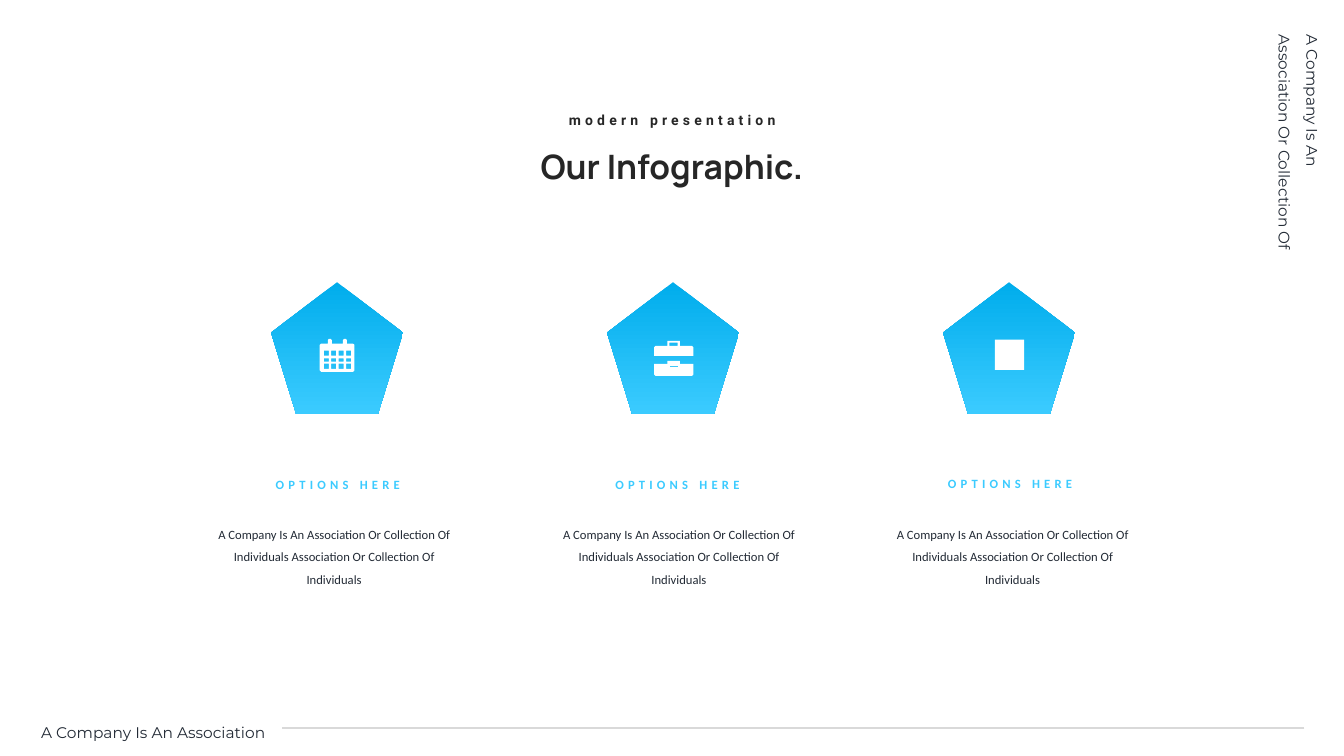
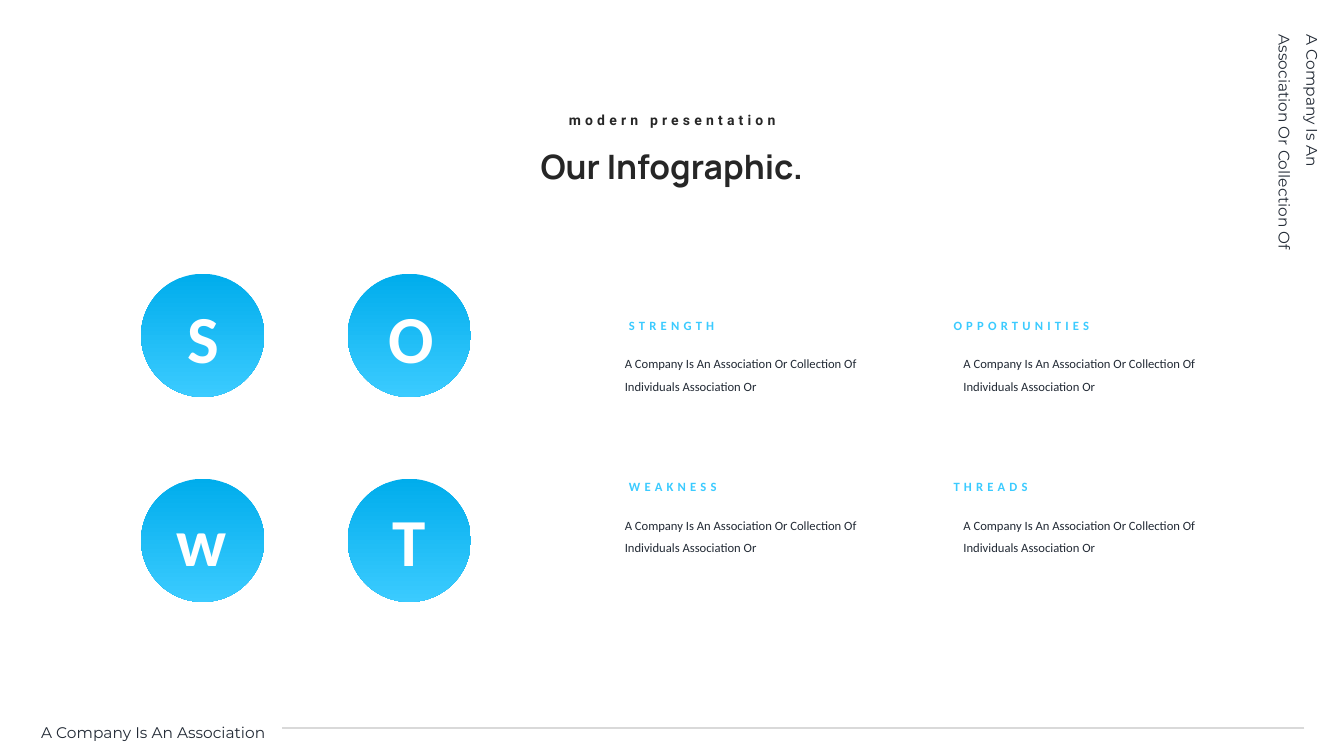
from dataclasses import dataclass
from itertools import product

from lxml.etree import SubElement
from pptx import Presentation
from pptx.dml.color import RGBColor
from pptx.enum.shapes import MSO_CONNECTOR, MSO_SHAPE
from pptx.enum.text import MSO_ANCHOR, MSO_AUTO_SIZE, PP_ALIGN
from pptx.oxml.ns import qn
from pptx.util import Pt


@dataclass(frozen=True)
class Style:
    """Look of one kind of text."""
    font: str
    size: float
    color: str
    bold: bool = False
    tracking: float = 0
    line_spacing: float = None
    space_after: float = None
    tight: bool = False


class Theme:
    """Colours and type styles of the deck."""
    white, rule = "FFFFFF", "D9D9D9"
    gradient = ("00ADEC", "3BCBFF")
    ink, heading = "222A35", "262626"
    title = Style("Manrope", 24, heading, bold=True)
    kicker = Style("Roboto", 10, heading, bold=True, tracking=3)
    margin = Style("Montserrat", 11, ink, line_spacing=1.5)
    body = Style("Calibri", 9, ink, line_spacing=1.5)
    label = Style("Calibri", 9, gradient[1], bold=True, tracking=3,
                  space_after=12, tight=True)
    letter = Style("Calibri", 48, white, bold=True, space_after=12, tight=True)


CENTER, LEFT = PP_ALIGN.CENTER, PP_ALIGN.LEFT
COMPANY = "A Company Is An Association"
COLLECTION = f"{COMPANY} Or Collection Of"


def apply(target, values):
    """Set attributes from a dict of format values."""
    for name, value in values.items():
        setattr(target, name, value)


def rgb(color):
    """Turn a hex string into a colour."""
    return RGBColor.from_string(color)


def add_text(page, text, bounds, style, align=LEFT, rotation=0):
    """Add a text box with one styled paragraph."""
    box = page.shapes.add_textbox(*map(Pt, bounds))
    box.rotation = rotation
    frame = box.text_frame
    apply(frame, {"word_wrap": True, "auto_size": MSO_AUTO_SIZE.SHAPE_TO_FIT_TEXT})
    if style.tight:
        apply(frame, {"margin_left": 0, "margin_right": 0, "margin_top": 0,
                      "margin_bottom": 0, "vertical_anchor": MSO_ANCHOR.MIDDLE})
    para = frame.paragraphs[0]
    apply(para, {"alignment": align, "line_spacing": style.line_spacing})
    if style.space_after:
        para.space_after = Pt(style.space_after)
    span = para.add_run()
    span.text = text
    apply(span.font, {"name": style.font, "size": Pt(style.size), "bold": style.bold})
    span.font.color.rgb = rgb(style.color)
    if style.tracking:
        span.font._element.set("spc", str(int(style.tracking * 100)))


def add_badge(page, kind, left, top, size):
    """Add a square preset shape with the blue gradient."""
    badge = page.shapes.add_shape(kind, *map(Pt, (left, top, size, size)))
    badge.shadow.inherit = False
    badge.line.fill.background()
    badge.fill.gradient()
    badge.fill.gradient_angle = 270
    for stop, color in zip(badge.fill.gradient_stops, Theme.gradient):
        stop.color.rgb = rgb(color)


def paint_white(shape):
    """Give an icon part a plain white fill."""
    shape.shadow.inherit = False
    shape.fill.solid()
    shape.fill.fore_color.rgb = rgb(Theme.white)
    shape.line.fill.background()


def add_block(page, *bounds):
    """Add a white rectangle."""
    paint_white(page.shapes.add_shape(MSO_SHAPE.RECTANGLE, *map(Pt, bounds)))


def add_outline(page, left, top, contours):
    """Add a white freeform; contours after the first cut holes."""
    placed = [[(Pt(left + x), Pt(top + y)) for x, y in contour]
              for contour in contours]
    builder = page.shapes.build_freeform(*placed[0][0])
    builder.add_line_segments(placed[0][1:])
    for hole in placed[1:]:
        builder.move_to(*hole[0])
        builder.add_line_segments(hole[1:])
    paint_white(builder.convert_to_shape())


def corners(left, top, width, height):
    """Return the corner points of a rectangle."""
    right, bottom = left + width, top + height
    return [(left, top), (right, top), (right, bottom), (left, bottom)]


def add_calendar(page, left, top):
    """Draw a calendar with two rings and a grid of days."""
    ring = [(0, 3.6), (0, 1.2), (0.7, 0.2), (2.1, 0.2), (2.8, 1.2), (2.8, 3.6)]
    rings = [(start + x, y) for start in (5.8, 16.6) for x, y in ring]
    sheet = [(0, 4.6), (1, 3.6), *rings, (23.8, 3.6), (24.8, 4.6),
             (24.8, 22.8), (23.8, 23.8), (1, 23.8), (0, 22.8)]
    rows = ((8.6, 3.6), (14.2, 2.4), (18, 3.6))
    days = [corners(2.9 + 5.3 * column, y, 3.6, height)
            for (y, height), column in product(rows, range(4))]
    add_outline(page, left, top, [sheet, *days])


def add_briefcase(page, left, top):
    """Draw a briefcase from lid, base and clasp."""
    lid = [(0, 4.6), (1, 3.6), (9.4, 3.6), (9.4, 0), (18.4, 0), (18.4, 3.6),
           (27, 3.6), (28, 4.6), (28, 10.8), (0, 10.8)]
    base = [(0, 0), (11.3, 0), (11.3, 2.2), (17.1, 2.2), (17.1, 0), (28, 0),
            (28, 7.6), (27, 8.6), (1, 8.6), (0, 7.6)]
    add_outline(page, left, top, [lid, corners(10.8, 1.4, 6, 2.2)])
    add_outline(page, left, top + 16.5, [base])
    add_block(page, left + 9.4, top + 14.4, 9, 3.6)


def add_square(page, left, top):
    """Draw a plain square icon."""
    add_block(page, left, top, 21, 21.6)


def add_rule(page, start, end, y):
    """Add the thin horizontal footer line."""
    line = page.shapes.add_connector(MSO_CONNECTOR.STRAIGHT, *map(Pt, (start, y, end, y)))
    line.line.color.rgb = rgb(Theme.rule)
    line.line.width = Pt(1.5)
    SubElement(line._element.spPr, qn("a:effectLst"))


def add_frame(page):
    """Add the heading, footer and side text that all slides share."""
    add_text(page, COMPANY, (22.3, 506.2, 314, 25.2), Theme.margin)
    add_rule(page, 931.7, 201.6, 519.8)
    add_text(page, COLLECTION, (845.3, 82.1, 173.5, 44.6), Theme.margin, rotation=90)
    add_text(page, "Our Infographic.", (283, 100.8, 393.8, 36), Theme.title, CENTER)
    add_text(page, "modern presentation", (386.6, 76.3, 187.2, 19.4),
             Theme.kicker, CENTER)


def fill_options(page):
    """Build three options, each with badge, icon, label and text."""
    details = f"{COLLECTION} Individuals Association Or Collection Of Individuals"
    options = (
        (add_calendar, 228.4, 241.8, 178.6, 340.6, 145.4),
        (add_briefcase, 467.3, 243.4, 421.2, 340.6, 391.7),
        (add_square, 710.6, 242.6, 658.8, 339.8, 630),
    )
    for index, (icon, icon_x, icon_y, label_x, label_y, text_x) in enumerate(options):
        add_badge(page, MSO_SHAPE.REGULAR_PENTAGON, 193.6 + 240 * index, 201.6, 94.3)
        icon(page, icon_x, icon_y)
        add_text(page, "OPTIONS HERE", (label_x, label_y, 125.3, 10.8),
                 Theme.label, CENTER)
        add_text(page, details, (text_x, 367.2, 186.5, 56.2), Theme.body, CENTER)


def fill_swot(page):
    """Build the two by two letters and their captions."""
    details = f"{COLLECTION} Individuals Association Or"
    topics = (
        ("S", 120.2, "STRENGTH"), ("O", 268.6, "OPPORTUNITIES"),
        ("w", 118.8, "WEAKNESS"), ("T", 267.1, "THREADS"),
    )
    columns = ((449.3, 439.2), (681.1, 681.1))
    for (row, column), (letter, letter_x, label) in zip(product(range(2), repeat=2), topics):
        label_x, text_x = columns[column]
        add_badge(page, MSO_SHAPE.OVAL, 100.8 + 147.6 * column, 195.6 + 146.4 * row, 88)
        add_text(page, letter, (letter_x, 211 + 145.4 * row, 49.7, 58.3),
                 Theme.letter, CENTER)
        add_text(page, label, (label_x, 227.4 + 114.6 * row, 125.3, 10.8), Theme.label)
        add_text(page, details, (text_x, 245.5 + 115.2 * row, 196.6, 40), Theme.body)


def main():
    """Build and save the deck."""
    deck = Presentation()
    apply(deck, {"slide_width": Pt(960), "slide_height": Pt(540)})
    for fill_page in (fill_options, fill_swot):
        page = deck.slides.add_slide(deck.slide_layouts[6])
        fill_page(page)
        add_frame(page)
    deck.save("out.pptx")


main()
